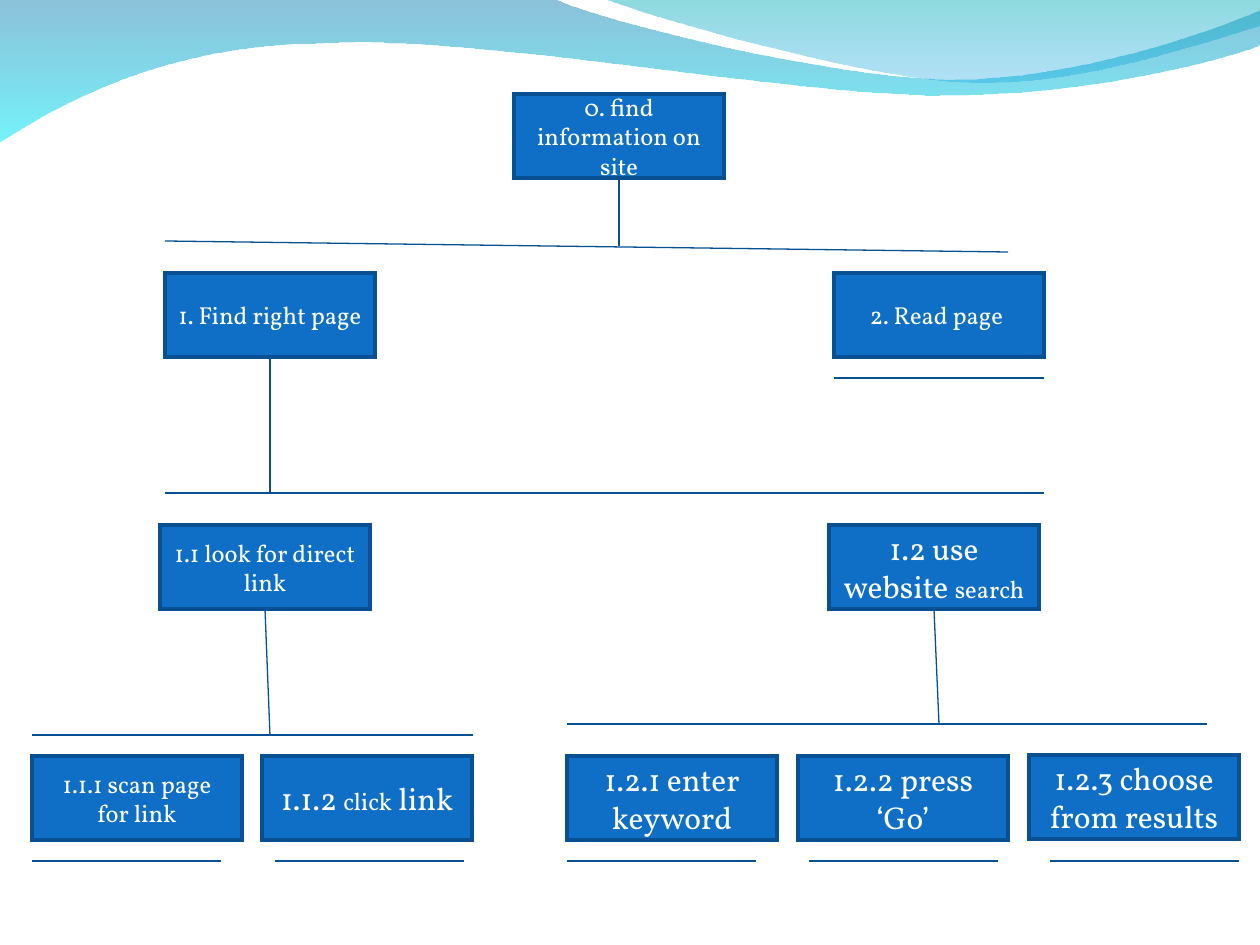
from lxml import etree
from pptx import Presentation
from pptx.dml.color import RGBColor
from pptx.enum.shapes import MSO_CONNECTOR, MSO_SHAPE
from pptx.enum.text import MSO_ANCHOR, PP_ALIGN
from pptx.oxml.ns import qn
from pptx.util import Pt

PX = 914400 / 126
RECTANGLE = MSO_SHAPE.RECTANGLE
STRAIGHT = MSO_CONNECTOR.STRAIGHT
CENTER = PP_ALIGN.CENTER
MIDDLE = MSO_ANCHOR.MIDDLE
BOTTOM_SIDE = 2
BOX_WIDTH, BOX_HEIGHT = 210, 84


def emu(*lengths):
    return [round(length * PX) for length in lengths]


def add_text(paragraph, text, size=14, color="FFFFFF", font="Vollkorn"):
    run = paragraph.add_run()
    run.text = text
    run.font.size = Pt(size)
    run.font.name = font
    run.font.color.rgb = RGBColor.from_string(color)


prs = Presentation()
prs.slide_width, prs.slide_height = emu(1260, 945)
slide = prs.slides.add_slide(prs.slide_layouts[6])
shapes = slide.shapes

# Header waves: a start, then line ends (one point) or Bezier curves (three points);
# gradient stops are (colour, opacity in percent)
waves = [
    ((0, -1),
     [[(554, -1)],
      [(600, 21), (837, 79), (955, 79)],
      [(1075, 79), (1207, 33), (1260, 11)],
      [(1261, 45)],
      [(1239, 55), (1096, 96), (940, 95)],
      [(784, 95), (481, 35), (324, 43)],
      [(163, 44), (58, 105), (-1, 142)],
      [(0, -1)]],
     [("0079AF", 45), ("00EBF8", 55)]),
    ((604, -1),
     [[(641, 14), (859, 78), (969, 82)],
      [(1079, 87), (1211, 40), (1260, 26)],
      [(1260, 0)],
      [(604, -1)]],
     [("00ADB6", 45), ("009BE5", 30)]),
]
for start, segments, stops in waves:
    builder = shapes.build_freeform(*emu(*start))
    builder.add_line_segments([emu(*point) for segment in segments for point in segment],
                              close=True)
    wave = builder.convert_to_shape()
    wave.shadow.inherit = False
    wave.line.fill.background()
    wave.fill.gradient()
    wave.fill.gradient_angle = 270
    for stop, (color, _) in zip(wave.fill.gradient_stops, stops):
        stop.color.rgb = RGBColor.from_string(color)
    properties = wave._element.spPr
    for color_node, (_, opacity) in zip(properties.iter(qn("a:srgbClr")), stops):
        etree.SubElement(color_node, qn("a:alpha")).set("val", str(opacity * 1000))
    # Merge the three straight steps of each curve into one Bezier segment
    steps = iter(list(properties.iter(qn("a:lnTo"))))
    for segment in segments:
        first, *others = [next(steps) for _ in segment]
        if others:
            curve = etree.Element(qn("a:cubicBezTo"))
            first.addprevious(curve)
            for step in (first, *others):
                curve.append(step[0])
                step.getparent().remove(step)

# Tasks: left, top, runs of (text, size)
tasks = [
    (834, 273, [("2. Read page ", 14)]),
    (165, 273, [("1. Find right page ", 14)]),
    (829, 525, [("1.2 use website ", 18), ("search", 14)]),
    (160, 525, [("1.1 look for direct link", 14)]),
    (1029, 755, [("1.2.3 choose from results", 18)]),
    (798, 756, [("1.2.2 press ‘Go’", 18)]),
    (567, 756, [("1.2.1 enter keyword", 18)]),
    (262, 756, [("1.1.2 ", 18), ("click", 14), (" link", 18)]),
    (32, 756, [("1.1.1 scan page for link", 14)]),
    (514, 94, [("0. find information on site", 14)]),
]
boxes = {}
for left, top, runs in tasks:
    box = shapes.add_shape(RECTANGLE, *emu(left, top, BOX_WIDTH, BOX_HEIGHT))
    box.shadow.inherit = False
    box.fill.solid()
    box.fill.fore_color.rgb = RGBColor.from_string("0F6FC6")
    box.line.color.rgb = RGBColor.from_string("085091")
    box.line.width = Pt(2)
    etree.SubElement(box._element.spPr.find(qn("a:ln")), qn("a:miter")).set("lim", "800000")
    frame = box.text_frame
    frame.word_wrap = True
    frame.vertical_anchor = MIDDLE
    label = frame.paragraphs[0]
    label.alignment = CENTER
    for text, size in runs:
        add_text(label, text, size=size)
    boxes[runs[0][0].split()[0]] = box

# Lines: task the line hangs from (or None), then x1, y1, x2, y2
lines = [
    (None, 165, 241, 1008, 252),
    ("0.", 619, 178, 619, 246),
    (None, 834, 378, 1044, 378),
    (None, 165, 493, 1044, 493),
    ("1.", 270, 357, 270, 493),
    (None, 32, 735, 473, 735),
    (None, 567, 724, 1207, 724),
    ("1.1", 265, 609, 270, 735),
    ("1.2", 934, 609, 939, 724),
]
# Short underlines that close the lowest tasks
lines += [(None, left, 861, left + 189, 861) for left in (32, 275, 567, 809, 1050)]
for parent, *ends in lines:
    line = shapes.add_connector(STRAIGHT, *emu(*ends))
    line.line.color.rgb = RGBColor.from_string("065093")
    line.line.width = Pt(0.75)
    etree.SubElement(line._element.spPr, qn("a:effectLst"))
    if parent:
        line.begin_connect(boxes[parent], BOTTOM_SIDE)

prs.save("out.pptx")
